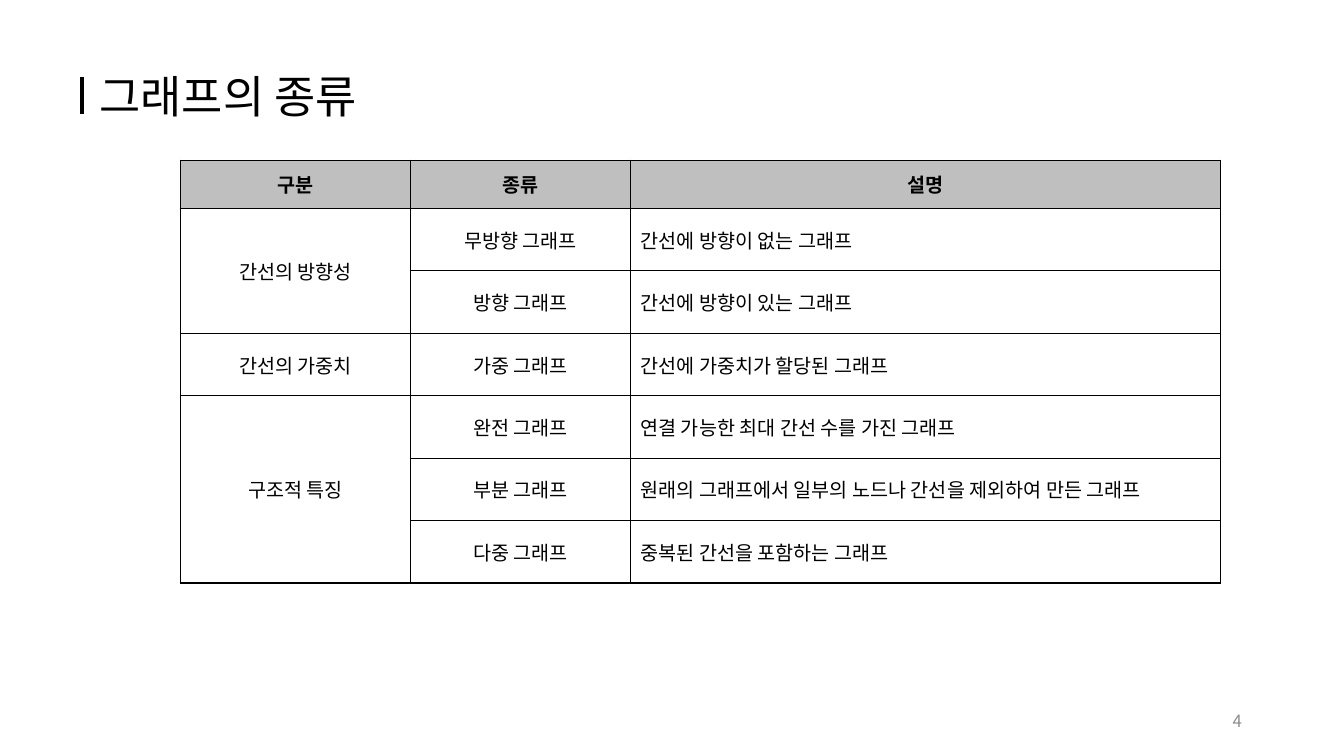
from dataclasses import dataclass

from lxml.etree import SubElement
from pptx import Presentation
from pptx.dml.color import RGBColor
from pptx.enum.shapes import MSO_CONNECTOR
from pptx.enum.text import MSO_ANCHOR, PP_ALIGN
from pptx.oxml.ns import qn
from pptx.util import Pt


@dataclass(frozen=True)
class Theme:
    font: str = "Noto Sans CJK KR"
    ink: str = "000000"
    muted: str = "8C8C8C"
    header: str = "BFBFBF"
    title_size: int = 32
    table_size: int = 14
    number_size: int = 12
    accent_width: int = 3
    border_width: int = 1


class SlideBuilder:
    def __init__(self, slide, theme):
        self.slide = slide
        self.theme = theme

    def style_text(self, text_frame, size, color, align, bold=False):
        for paragraph in text_frame.paragraphs:
            paragraph.alignment = align
            for run in paragraph.runs:
                font = run.font
                font.name = self.theme.font
                font.size = Pt(size)
                font.bold = bold
                font.color.rgb = RGBColor.from_string(color)
                east_asian = SubElement(font._element, qn("a:ea"))
                east_asian.set("typeface", self.theme.font)

    def text(self, content, box, size, color, align=PP_ALIGN.LEFT, anchor=MSO_ANCHOR.TOP):
        text_frame = self.slide.shapes.add_textbox(*map(Pt, box)).text_frame
        text_frame.word_wrap = True
        text_frame.vertical_anchor = anchor
        text_frame.text = content
        self.style_text(text_frame, size, color, align)

    def line(self, start, end, width):
        connector = self.slide.shapes.add_connector(
            MSO_CONNECTOR.STRAIGHT, *map(Pt, start + end))
        connector.line.color.rgb = RGBColor.from_string(self.theme.ink)
        connector.line.width = Pt(width)
        SubElement(connector._element.spPr, qn("a:effectLst"))

    def border(self, cell):
        properties = cell._tc.get_or_add_tcPr()
        for side in ("lnL", "lnR", "lnT", "lnB"):
            edge = SubElement(properties, qn(f"a:{side}"), w=str(Pt(self.theme.border_width)))
            fill = SubElement(edge, qn("a:solidFill"))
            SubElement(fill, qn("a:srgbClr"), val=self.theme.ink)

    def cell(self, cell, content, align, is_header):
        self.border(cell)
        cell.vertical_anchor = MSO_ANCHOR.MIDDLE
        cell.text = content
        self.style_text(cell.text_frame, self.theme.table_size, self.theme.ink, align, is_header)
        if is_header:
            cell.fill.solid()
            cell.fill.fore_color.rgb = RGBColor.from_string(self.theme.header)
        else:
            cell.fill.background()

    def table(self, headings, groups, origin, widths, header_height, row_height):
        rows = [headings]
        for category, kinds in groups:
            for index, kind in enumerate(kinds):
                rows.append(("" if index else category, *kind))
        heights = [header_height] + [row_height] * (len(rows) - 1)
        table = self.slide.shapes.add_table(
            len(rows), len(widths), *map(Pt, (*origin, sum(widths), sum(heights)))).table
        for column, width in zip(table.columns, widths):
            column.width = Pt(width)
        for row, height in zip(table.rows, heights):
            row.height = Pt(height)
        for row_index, contents in enumerate(rows):
            is_header = row_index == 0
            for column_index, content in enumerate(contents):
                is_description = column_index == len(widths) - 1 and not is_header
                align = PP_ALIGN.LEFT if is_description else PP_ALIGN.CENTER
                self.cell(table.cell(row_index, column_index), content, align, is_header)
        first = 1
        for _, kinds in groups:
            last = first + len(kinds) - 1
            if last > first:
                table.cell(first, 0).merge(table.cell(last, 0))
            first = last + 1


HEADINGS = ("구분", "종류", "설명")
GRAPH_GROUPS = [
    ("간선의 방향성", [
        ("무방향 그래프", "간선에 방향이 없는 그래프"),
        ("방향 그래프", "간선에 방향이 있는 그래프"),
    ]),
    ("간선의 가중치", [
        ("가중 그래프", "간선에 가중치가 할당된 그래프"),
    ]),
    ("구조적 특징", [
        ("완전 그래프", "연결 가능한 최대 간선 수를 가진 그래프"),
        ("부분 그래프", "원래의 그래프에서 일부의 노드나 간선을 제외하여 만든 그래프"),
        ("다중 그래프", "중복된 간선을 포함하는 그래프"),
    ]),
]

presentation = Presentation()
presentation.slide_width = Pt(960)
presentation.slide_height = Pt(540)
theme = Theme()
builder = SlideBuilder(presentation.slides.add_slide(presentation.slide_layouts[6]), theme)

builder.text("그래프의 종류", (64, 45.4, 415.4, 46), theme.title_size, theme.ink)
builder.line((58.4, 54.8), (58.4, 81.4), theme.accent_width)
builder.text("4", (678.2, 500.4, 216, 28.8), theme.number_size, theme.muted,
             PP_ALIGN.RIGHT, MSO_ANCHOR.MIDDLE)
builder.table(HEADINGS, GRAPH_GROUPS, (128.8, 114.5), (164.5, 157, 421.5), 34.4, 44.6)

presentation.save("out.pptx")
